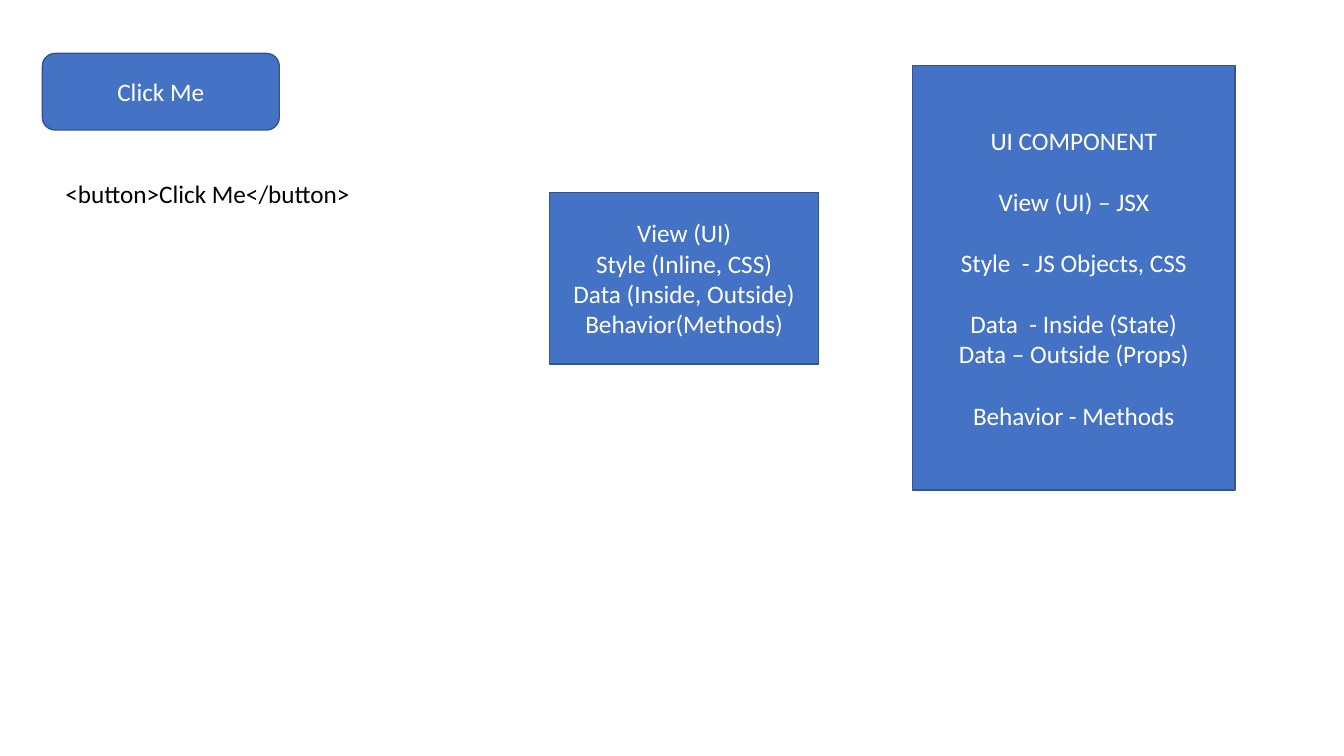
from pptx import Presentation
from pptx import util as u
from pptx.dml.color import RGBColor
from pptx.enum import shapes, text

COLOURS = {"fill": "4472C4", "edge": "325491", "light": "FFFFFF", "dark": "000000"}
FONT = {"name": "Calibri", "size": u.Pt(18)}
LINE_GAP = u.Pt(22)  # one line of body text

deck = Presentation()
deck.slide_width, deck.slide_height = u.Inches(13.33), u.Inches(7.5)
page = deck.slides.add_slide(deck.slide_layouts[6])


def place(left, top, width, height):
    """Turn percentages of the slide's size into lengths."""
    across, down = deck.slide_width / 100, deck.slide_height / 100
    return [round(n) for n in (left * across, top * down, width * across, height * down)]


def write(frame, groups, colour, align):
    """Write groups of lines, one line of space between groups."""
    lines = [(line, i > 0 and j == 0) for i, group in enumerate(groups)
             for j, line in enumerate(group)]
    for number, (line, opens_group) in enumerate(lines):
        para = frame.add_paragraph() if number else frame.paragraphs[0]
        para.alignment = align
        if opens_group:
            para.space_before = LINE_GAP
        span = para.add_run()
        span.text = line
        for name, value in FONT.items():
            setattr(span.font, name, value)
        span.font.color.rgb = RGBColor.from_string(COLOURS[colour])


# Filled boxes: the button, the parts of a view, the UI component
kinds = shapes.MSO_SHAPE
boxes = [
    (kinds.ROUNDED_RECTANGLE, (3.15, 7.07, 17.63, 10.13), [["Click Me"]]),
    (kinds.RECTANGLE, (40.89, 25.47, 20.03, 22.67),
     [["View (UI)", "Style (Inline, CSS)", "Data (Inside, Outside)", "Behavior(Methods)"]]),
    (kinds.RECTANGLE, (67.89, 8.67, 24.01, 56.13),
     [["UI COMPONENT"], ["View (UI) – JSX"], ["Style  - JS Objects, CSS"],
      ["Data  - Inside (State)", "Data – Outside (Props)"], ["Behavior - Methods"]]),
]
for kind, area, groups in boxes:
    box = page.shapes.add_shape(kind, *place(*area))
    box.shadow.inherit = False
    box.fill.solid()
    box.fill.fore_color.rgb = RGBColor.from_string(COLOURS["fill"])
    box.line.color.rgb = RGBColor.from_string(COLOURS["edge"])
    box.line.width = u.Pt(1)
    box.text_frame.word_wrap = True
    box.text_frame.vertical_anchor = text.MSO_ANCHOR.MIDDLE
    write(box.text_frame, groups, "light", text.PP_ALIGN.CENTER)

# Markup of the button
markup = page.shapes.add_textbox(*place(4.13, 22.93, 23.03, 5.33)).text_frame
for name, value in {"word_wrap": False, "auto_size": text.MSO_AUTO_SIZE.SHAPE_TO_FIT_TEXT}.items():
    setattr(markup, name, value)
write(markup, [["<button>Click Me</button>"]], "dark", text.PP_ALIGN.LEFT)

deck.save("out.pptx")
